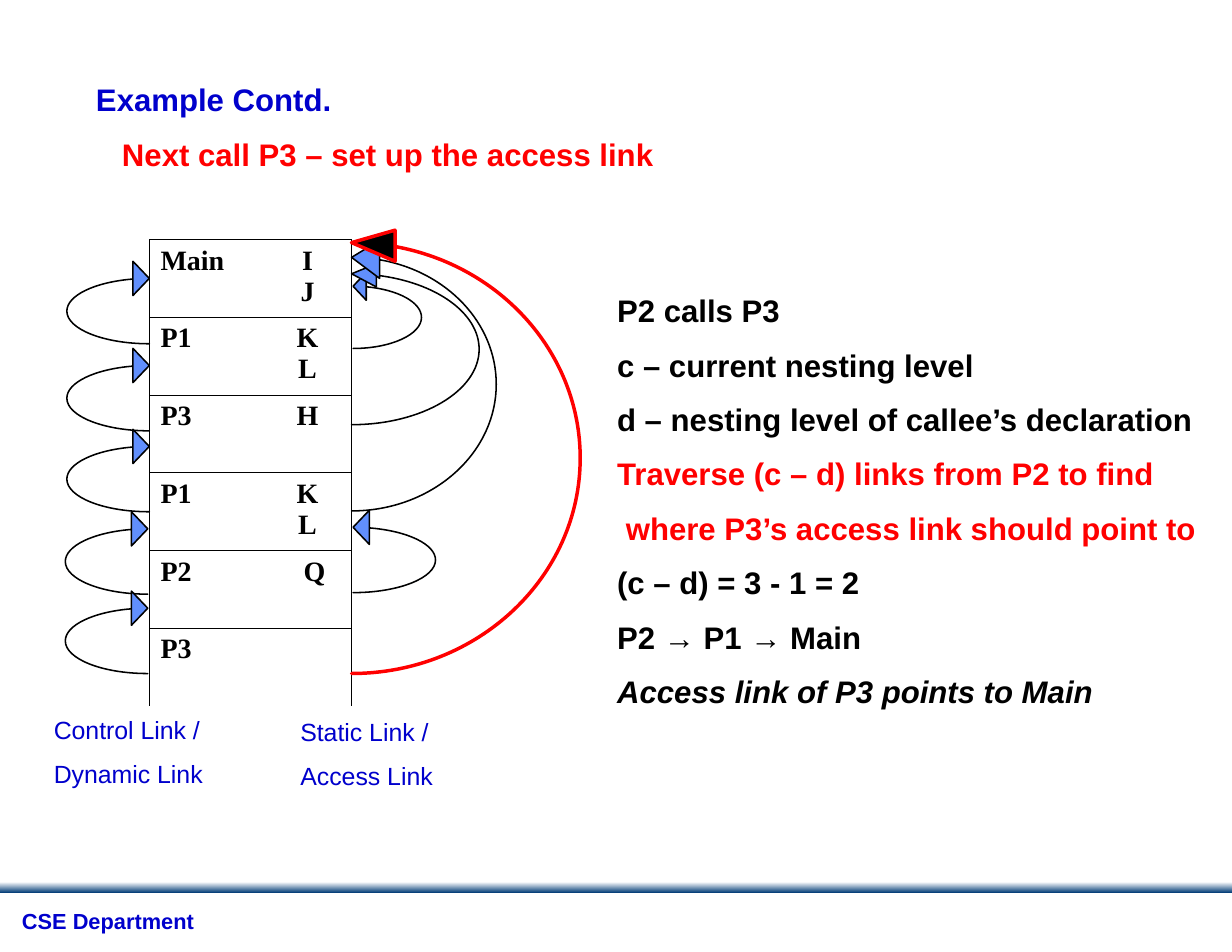
import math
from dataclasses import dataclass

from lxml import etree
from pptx import Presentation
from pptx.dml.color import RGBColor
from pptx.enum import shapes, text
from pptx.oxml import ns
from pptx.util import Pt


@dataclass
class Theme:
    blue: str = "0000CC"
    red: str = "FF0000"
    black: str = "000000"
    white: str = "FFFFFF"
    arrow: str = "618FFD"
    bar: str = "003B76"
    sans: str = "Arial"
    serif: str = "Times New Roman"
    heading: float = 20
    cell: float = 18
    label: float = 16
    footer: float = 14


class Deck:
    def __init__(self, theme):
        self.theme = theme
        self.prs = Presentation()
        self.prs.slide_width, self.prs.slide_height = Pt(792), Pt(612)
        self.s = self.prs.slides.add_slide(self.prs.slide_layouts[1])

    def place(self, sp, box):
        for name, value in zip(("left", "top", "width", "height"), box):
            setattr(sp, name, Pt(value))

    def run(self, p, content, color, fmt):
        r = p.add_run()
        r.text = content
        for name, value in fmt.items():
            setattr(r.font, name, value)
        r.font.color.rgb = RGBColor.from_string(color)

    def lines(self, sp, items, size, before, bold=True, wrap=False):
        tf = sp.text_frame
        frame = {"word_wrap": wrap, "auto_size": text.MSO_AUTO_SIZE.NONE,
                 "vertical_anchor": text.MSO_ANCHOR.TOP}
        for name, value in frame.items():
            setattr(tf, name, value)
        para = {"alignment": text.PP_ALIGN.LEFT, "line_spacing": 0.9,
                "space_before": Pt(before), "space_after": Pt(0)}
        for i, (content, color, indent, italic) in enumerate(items):
            p = tf.add_paragraph() if i else tf.paragraphs[0]
            for name, value in para.items():
                setattr(p, name, value)
            pPr = p._p.get_or_add_pPr()
            pPr.set("marL", str(Pt(indent)))
            pPr.set("indent", "0")
            etree.SubElement(pPr, ns.qn("a:buNone"))
            self.run(p, content, color, {"name": self.theme.sans, "size": Pt(size),
                                         "bold": bold, "italic": italic})

    def placeholder(self, idx, box, items):
        sp = self.s.placeholders[idx]
        self.place(sp, box)
        self.lines(sp, items, self.theme.heading, 13.4, wrap=True)

    def textbox(self, box, items, size, before, bold=False):
        sp = self.s.shapes.add_textbox(*map(Pt, box))
        self.lines(sp, items, size, before, bold)

    def gradient_bar(self, box):
        sp = self.s.shapes.add_shape(shapes.MSO_SHAPE.RECTANGLE, *map(Pt, box))
        sp.shadow.inherit = False
        sp.line.fill.background()
        sp.fill.gradient()
        sp.fill.gradient_angle = 270
        for stop, color in zip(sp.fill.gradient_stops, (self.theme.white, self.theme.bar)):
            stop.color.rgb = RGBColor.from_string(color)

    def border(self, cell, sides):
        tcPr = cell._tc.get_or_add_tcPr()
        for i, side in enumerate("LRTB"):
            ln = etree.Element(ns.qn(f"a:ln{side}"), w=str(Pt(0.45)))
            if side in sides:
                fill = etree.SubElement(ln, ns.qn("a:solidFill"))
                etree.SubElement(fill, ns.qn("a:srgbClr"), val=self.theme.black)
            else:
                etree.SubElement(ln, ns.qn("a:noFill"))
            tcPr.insert(i, ln)

    def stack(self, box, frames):
        table = self.s.shapes.add_table(len(frames), 1, *map(Pt, box)).table
        table.first_row = table.horz_banding = False
        fmt = {"name": self.theme.serif, "size": Pt(self.theme.cell), "bold": True}
        for i, (name, variables, stop) in enumerate(frames):
            cell = table.cell(i, 0)
            cell.fill.solid()
            cell.fill.fore_color.rgb = RGBColor.from_string(self.theme.white)
            self.border(cell, "LRT" if i == len(frames) - 1 else "LRTB")
            rows = [f"{name}\t{variables[0]}"] if variables else [name]
            rows += [f"\t{v}" for v in variables[1:]]
            for j, content in enumerate(rows):
                tf = cell.text_frame
                p = tf.add_paragraph() if j else tf.paragraphs[0]
                tabs = etree.SubElement(p._p.get_or_add_pPr(), ns.qn("a:tabLst"))
                etree.SubElement(tabs, ns.qn("a:tab"), pos=str(Pt(stop)), algn="ctr")
                self.run(p, content, self.theme.black, fmt)

    def bend(self, sp, starts):
        segments = list(sp._element.iter(ns.qn("a:lnTo")))
        for start in starts:
            curve = etree.Element(ns.qn("a:cubicBezTo"))
            segments[start].addprevious(curve)
            for segment in segments[start:start + 3]:
                curve.append(segment[0])
                segment.getparent().remove(segment)

    def link(self, x, y, reach, rise, head, up, down, fill, line, width):
        tip = y - 2 * rise
        base = x + math.copysign(head, reach)
        angles = [0, math.pi / 2, math.pi - math.asin(head / abs(reach))]

        def on_arc(a, pull=0):
            return (x + reach * (math.sin(a) + pull * math.cos(a)),
                    y - rise + rise * (math.cos(a) - pull * math.sin(a)))

        arc = [on_arc(0)]
        for a, b in zip(angles, angles[1:]):
            pull = 4 / 3 * math.tan((b - a) / 4)
            arc += [on_arc(a, pull), on_arc(b, -pull), on_arc(b)]
        points = arc + [(base, tip - up), (x, tip), (base, tip + down)] + arc[::-1]
        points = [(Pt(px), Pt(py)) for px, py in points]
        fb = self.s.shapes.build_freeform(*points[0])
        fb.add_line_segments(points[1:], close=True)
        sp = fb.convert_to_shape()
        self.bend(sp, (0, 3, 10, 13))
        sp.shadow.inherit = False
        sp.fill.solid()
        sp.fill.fore_color.rgb = RGBColor.from_string(fill)
        sp.line.color.rgb = RGBColor.from_string(line)
        sp.line.width = Pt(width)


def main():
    t = Theme()
    d = Deck(t)
    d.gradient_bar((0, 567, 792, 7))
    d.textbox((7, 582, 127, 23), [("CSE Department", t.blue, 0, False)], t.footer, 8.8, True)
    d.placeholder(0, (54.5, 51, 377, 63.5), [
        ("Example Contd.", t.blue, 0, False),
        ("Next call P3 – set up the access link", t.red, 16.7, False)])
    d.placeholder(1, (389.5, 186.5, 396, 268), [
        ("P2 calls P3", t.black, 0, False),
        ("c – current nesting level", t.black, 0, False),
        ("d – nesting level of callee’s declaration", t.black, 0, False),
        ("Traverse (c – d) links from P2 to find", t.red, 0, False),
        ("where P3’s access link should point to", t.red, 5.6, False),
        ("(c – d) = 3 - 1 = 2", t.black, 0, False),
        ("P2 → P1 → Main", t.black, 0, False),
        ("Access link of P3 points to Main", t.black, 0, True)])
    d.stack((96, 154, 130, 300), [
        ("Main", "IJ", 94.5), ("P1", "KL", 94.5), ("P3", "H", 94.5),
        ("P1", "KL", 94.5), ("P2", "Q", 99), ("P3", "", 94.5)])

    for x, y in [(96, 221), (96, 277), (96, 329), (95, 382), (95, 433)]:
        d.link(x, y, -53, 21, 10.5, 11, 11, t.arrow, t.black, 1)
    for access in [(227, 381, 53, 21, 10.5, 11, 11),
                   (227, 224, 44, 20, 8.5, 9, 9),
                   (226, 273, 82, 48.5, 16, 6.5, 8.5),
                   (226, 328.5, 93, 81.5, 18, 11, 13.5)]:
        d.link(*access, t.arrow, t.black, 1)
    d.link(226, 433, 147, 138.5, 28, 8, 12, t.black, t.red, 2.25)

    for box, names in [((27.5, 458, 110, 52), ("Control Link /", "Dynamic Link")),
                       ((186, 459.5, 99, 52), ("Static Link /", "Access Link"))]:
        d.textbox(box, [(name, t.blue, 0, False) for name in names], t.label, 11)
    d.prs.save("out.pptx")


if __name__ == "__main__":
    main()
